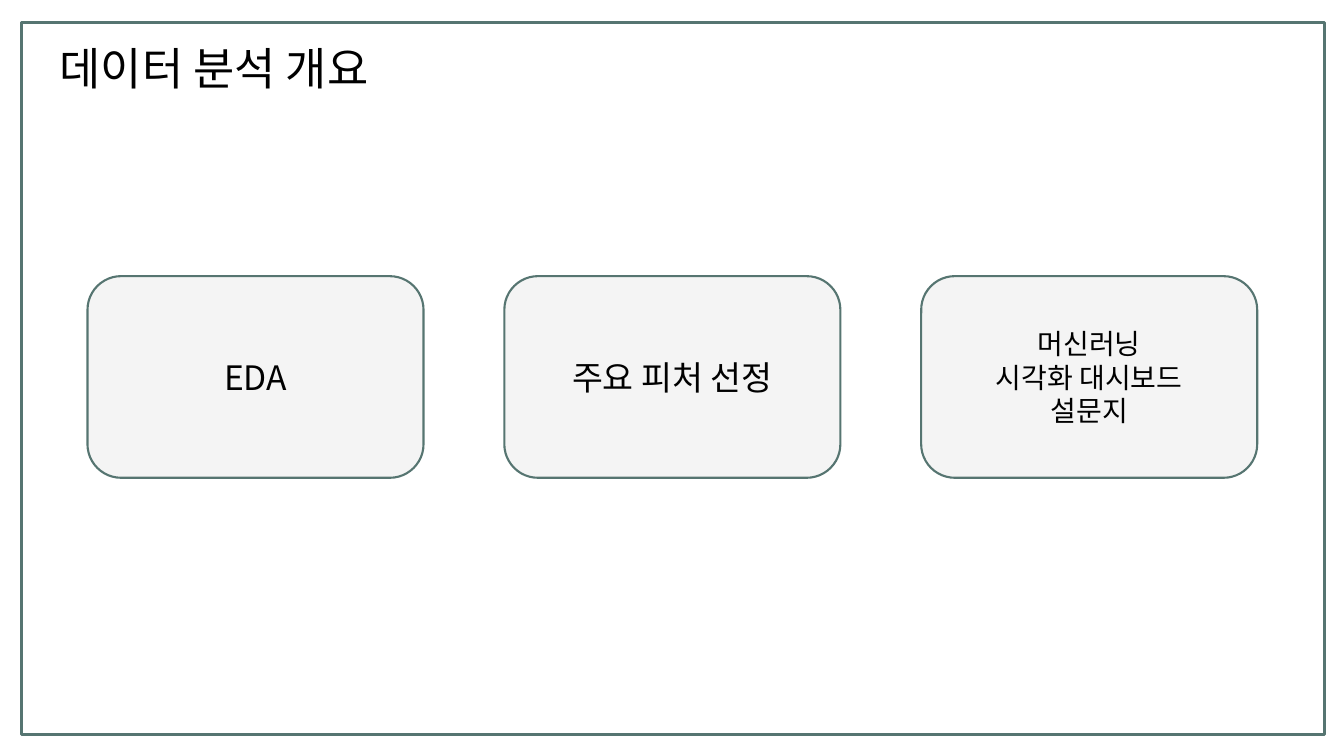
"""Build the data analysis overview slide."""
from lxml.etree import SubElement
from pptx import Presentation
from pptx.dml.color import RGBColor
from pptx.enum.shapes import MSO_SHAPE
from pptx.enum.text import MSO_ANCHOR, MSO_AUTO_SIZE, PP_ALIGN
from pptx.oxml.ns import qn
from pptx.util import Pt

FONT = "Noto Sans CJK KR"
BLACK = RGBColor(0x00, 0x00, 0x00)
GREEN = RGBColor(0x56, 0x75, 0x71)
LIGHT_GRAY = RGBColor(0xF4, 0xF4, 0xF4)


def write(frame, text, size, align=PP_ALIGN.CENTER, anchor=MSO_ANCHOR.MIDDLE, wrap=True):
    frame.text = text
    frame.word_wrap = wrap
    frame.auto_size = MSO_AUTO_SIZE.NONE
    frame.vertical_anchor = anchor
    for paragraph in frame.paragraphs:
        paragraph.alignment = align
        for run in paragraph.runs:
            run.font.size = Pt(size)
            run.font.color.rgb = BLACK
            run.font.name = FONT
            SubElement(run.font._element, qn("a:ea"), typeface=FONT)


presentation = Presentation()
presentation.slide_width = Pt(960)
presentation.slide_height = Pt(540)
slide = presentation.slides.add_slide(presentation.slide_layouts[5])

heading = slide.shapes.title
heading.left, heading.top, heading.width, heading.height = Pt(35.5), Pt(25.2), Pt(245.5), Pt(46)
write(heading.text_frame, "데이터 분석 개요", 32,
      align=PP_ALIGN.LEFT, anchor=MSO_ANCHOR.TOP, wrap=False)

STEPS = [
    ("EDA", 24),
    ("주요 피처 선정", 24),
    ("머신러닝\n시각화 대시보드\n설문지", 20),
]
STEP_WIDTH, STEP_PITCH = 240, 297.75
for index, (label, size) in enumerate(STEPS):
    step = slide.shapes.add_shape(
        MSO_SHAPE.ROUNDED_RECTANGLE,
        Pt(62.5 + index * STEP_PITCH), Pt(197.3), Pt(STEP_WIDTH), Pt(144))
    step.shadow.inherit = False
    step.fill.solid()
    step.fill.fore_color.rgb = LIGHT_GRAY
    step.line.color.rgb = GREEN
    step.line.width = Pt(1.5)
    write(step.text_frame, label, size)

border = slide.shapes.add_shape(
    MSO_SHAPE.RECTANGLE, Pt(15.1), Pt(15.9), Pt(931), Pt(508.5))
border.shadow.inherit = False
border.fill.background()
border.line.color.rgb = GREEN
border.line.width = Pt(2)

presentation.save("out.pptx")
